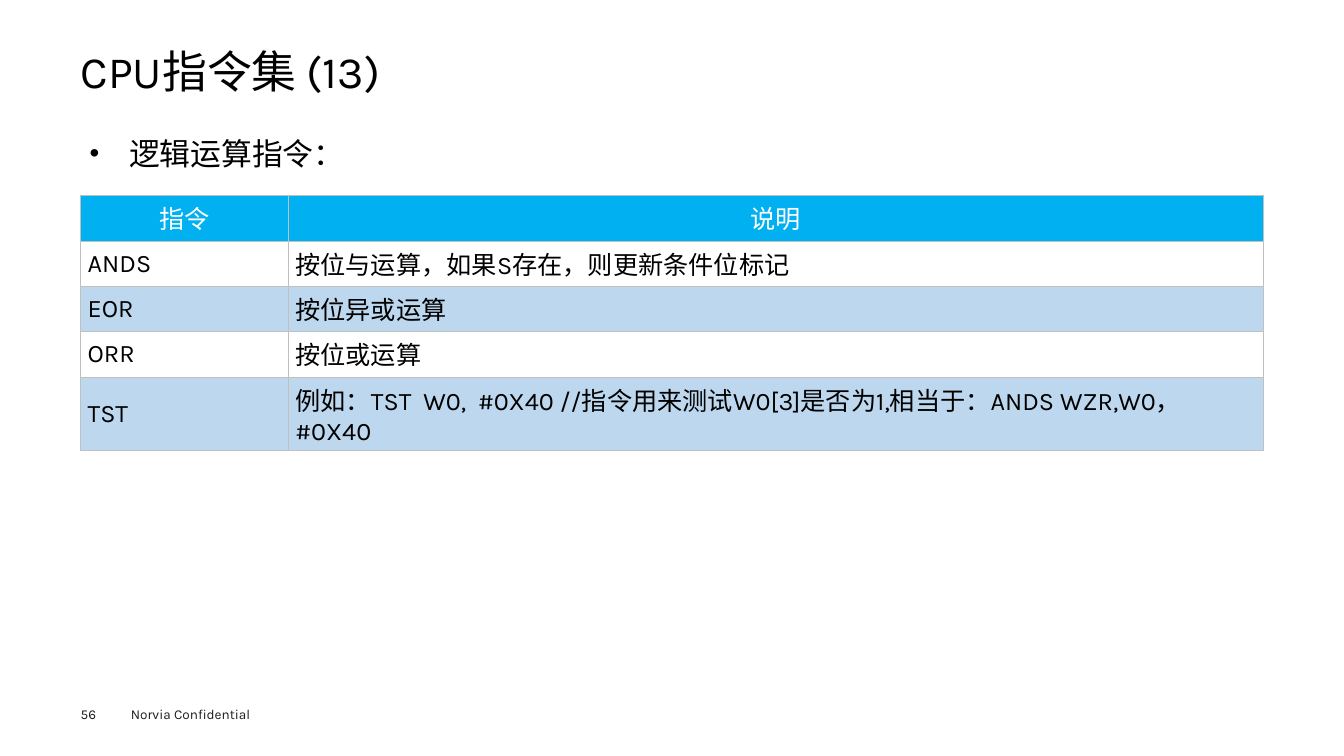
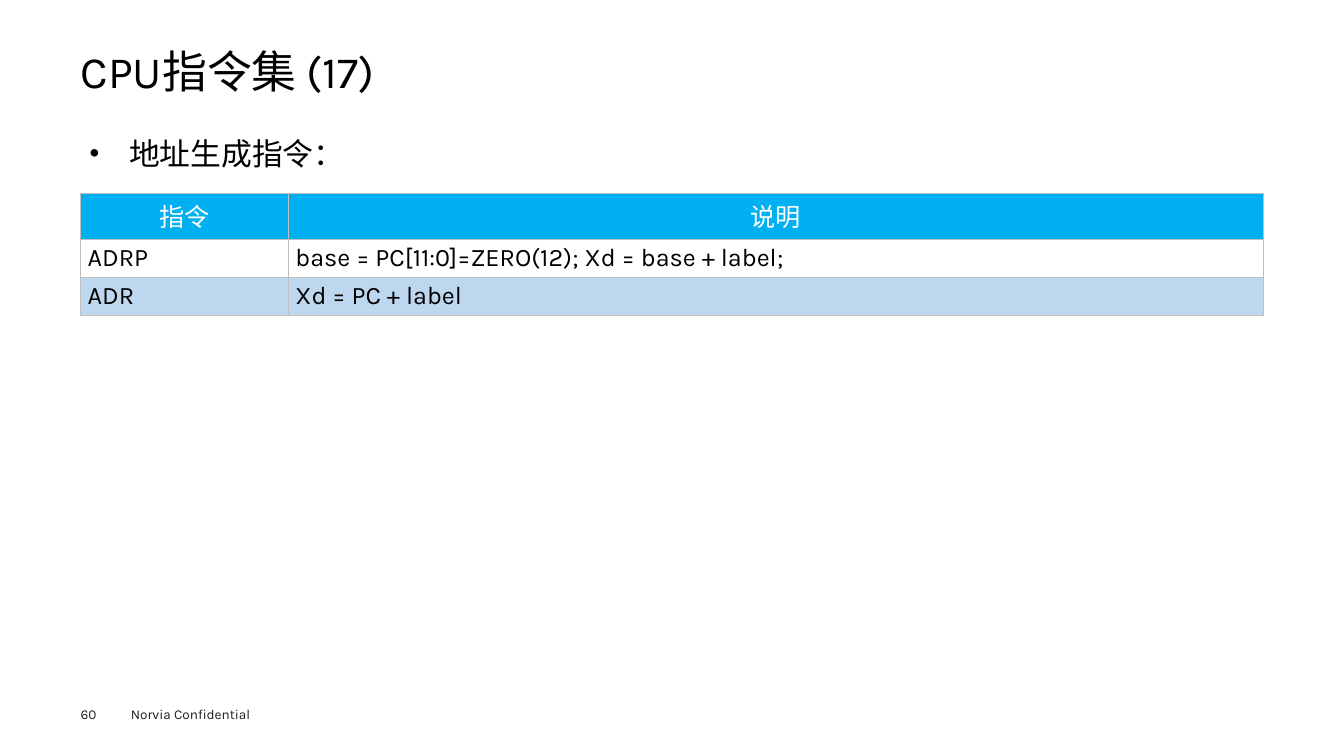
import pptx
import pptx.dml.color
import pptx.enum.text
import pptx.oxml
import pptx.oxml.ns
import pptx.util
from pptx.util import Inches

COLORS = {
    "text": "000000",
    "footer": "1D1D1B",
    "header": "00B0F0",
    "header_text": "FFFFFF",
    "odd": "FFFFFF",
    "even": "BDD7EE",
    "border": "C0C0C0",
}
FONT = "Karla"
LEFT, WIDTH = 0.8, 11.73
COLUMNS = (2.06, 9.67)
LATIN_ROW, CHINESE_ROW, TWO_LINE_ROW = 0.38, 0.45, 0.73
LINE_LIMIT = 50
HEADINGS = ("指令", "说明")
FOOTER = "Norvia Confidential"
CENTER = pptx.enum.text.PP_ALIGN.CENTER


def rgb(name):
    return pptx.dml.color.RGBColor.from_string(COLORS[name])


def is_chinese(text):
    return any("一" <= char <= "龥" for char in text)


def row_height(row):
    text = row[-1]
    if not is_chinese(text):
        return LATIN_ROW
    return TWO_LINE_ROW if len(text) > LINE_LIMIT else CHINESE_ROW


def write(p, text, size, color, **formats):
    """Put one styled run in a paragraph and apply paragraph formats."""
    for name, value in formats.items():
        setattr(p, name, value)
    r = p.add_run()
    r.text = text
    for name, value in {"name": FONT, "size": pptx.util.Pt(size)}.items():
        setattr(r.font, name, value)
    r.font.color.rgb = rgb(color)


def set_margins(target, x, top, bottom):
    for side, value in zip(("left", "right", "top", "bottom"), (x, x, top, bottom)):
        setattr(target, f"margin_{side}", Inches(value))


def add_text(s, box, margins=(0, 0, 0)):
    """Add a wrapping text box and return its first paragraph."""
    tf = s.shapes.add_textbox(*map(Inches, box)).text_frame
    tf.word_wrap = True
    set_margins(tf, *margins)
    return tf.paragraphs[0]


def add_bullet(s, text):
    p = add_text(s, (LEFT, 1.15, WIDTH, 0.7), (0.09, 0.04, 0.04))
    ppr = p._p.get_or_add_pPr()
    ppr.set("marL", str(Inches(0.39)))
    ppr.set("indent", str(-Inches(0.39)))
    for tag, attribute, value in (("buSzPct", "val", "90000"),
                                  ("buFont", "typeface", "Arial"),
                                  ("buChar", "char", "•")):
        ppr.append(pptx.oxml.parse_xml(
            f'<a:{tag} {pptx.oxml.ns.nsdecls("a")} {attribute}="{value}"/>'))
    write(p, text, 22, "text", line_spacing=1.4)


def set_borders(cell):
    tcpr = cell._tc.get_or_add_tcPr()
    for side in "LRTB":
        tcpr.append(pptx.oxml.parse_xml(
            f'<a:ln{side} {pptx.oxml.ns.nsdecls("a")} w="{pptx.util.Pt(0.38)}">'
            f'<a:solidFill><a:srgbClr val="{COLORS["border"]}"/></a:solidFill>'
            f'</a:ln{side}>'))


def style_cell(cell, fill, bottom):
    set_borders(cell)
    cell.fill.solid()
    cell.fill.fore_color.rgb = rgb(fill)
    cell.vertical_anchor = pptx.enum.text.MSO_ANCHOR.MIDDLE
    set_margins(cell, 0.07, 0.04, bottom)


def add_instruction_table(s, top, instructions):
    rows = [HEADINGS, *instructions]
    heights = [row_height(row) for row in rows]
    table = s.shapes.add_table(
        len(rows), len(COLUMNS), Inches(LEFT), Inches(top),
        Inches(WIDTH), Inches(sum(heights))).table
    table.horz_banding = table.first_row = False
    for column, width in zip(table.columns, COLUMNS):
        column.width = Inches(width)
    for i, (row, height) in enumerate(zip(rows, heights)):
        table.rows[i].height = Inches(height)
        fill = "header" if i == 0 else "odd" if i % 2 else "even"
        color, formats = ("text", {}) if i else ("header_text", {"alignment": CENTER})
        for j, text in enumerate(row):
            cell = table.cell(i, j)
            style_cell(cell, fill, 0.08 if is_chinese(text) else 0.04)
            write(cell.text_frame.paragraphs[0], text, 18, color, **formats)


def add_slide(prs, number, title, topic, table_top, instructions):
    s = prs.slides.add_slide(prs.slide_layouts[6])
    write(add_text(s, (1.2, 6.95, 1.6, 0.27), (0.1, 0.05, 0.05)), FOOTER, 9.7, "footer")
    write(add_text(s, (LEFT, 7, 0.55, 0.16)), str(number), 9.7, "footer")
    write(add_text(s, (LEFT, 0.49, WIDTH, 0.53)), title, 32, "text", line_spacing=0.9)
    add_bullet(s, topic)
    add_instruction_table(s, table_top, instructions)


def main():
    prs = pptx.Presentation()
    prs.slide_width, prs.slide_height = Inches(13.33), Inches(7.5)
    add_slide(prs, 56, "CPU指令集 (13)", "逻辑运算指令：", 1.94, [
        ("ANDS", "按位与运算，如果S存在，则更新条件位标记"),
        ("EOR", "按位异或运算"),
        ("ORR", "按位或运算"),
        ("TST", "例如：TST  W0,  #0X40 //指令用来测试W0[3]是否为1,相当于：ANDS WZR,W0，#0X40"),
    ])
    add_slide(prs, 60, "CPU指令集 (17)", "地址生成指令：", 1.92, [
        ("ADRP", "base = PC[11:0]=ZERO(12); Xd = base + label;"),
        ("ADR", "Xd = PC + label"),
    ])
    prs.save("out.pptx")


if __name__ == "__main__":
    main()
